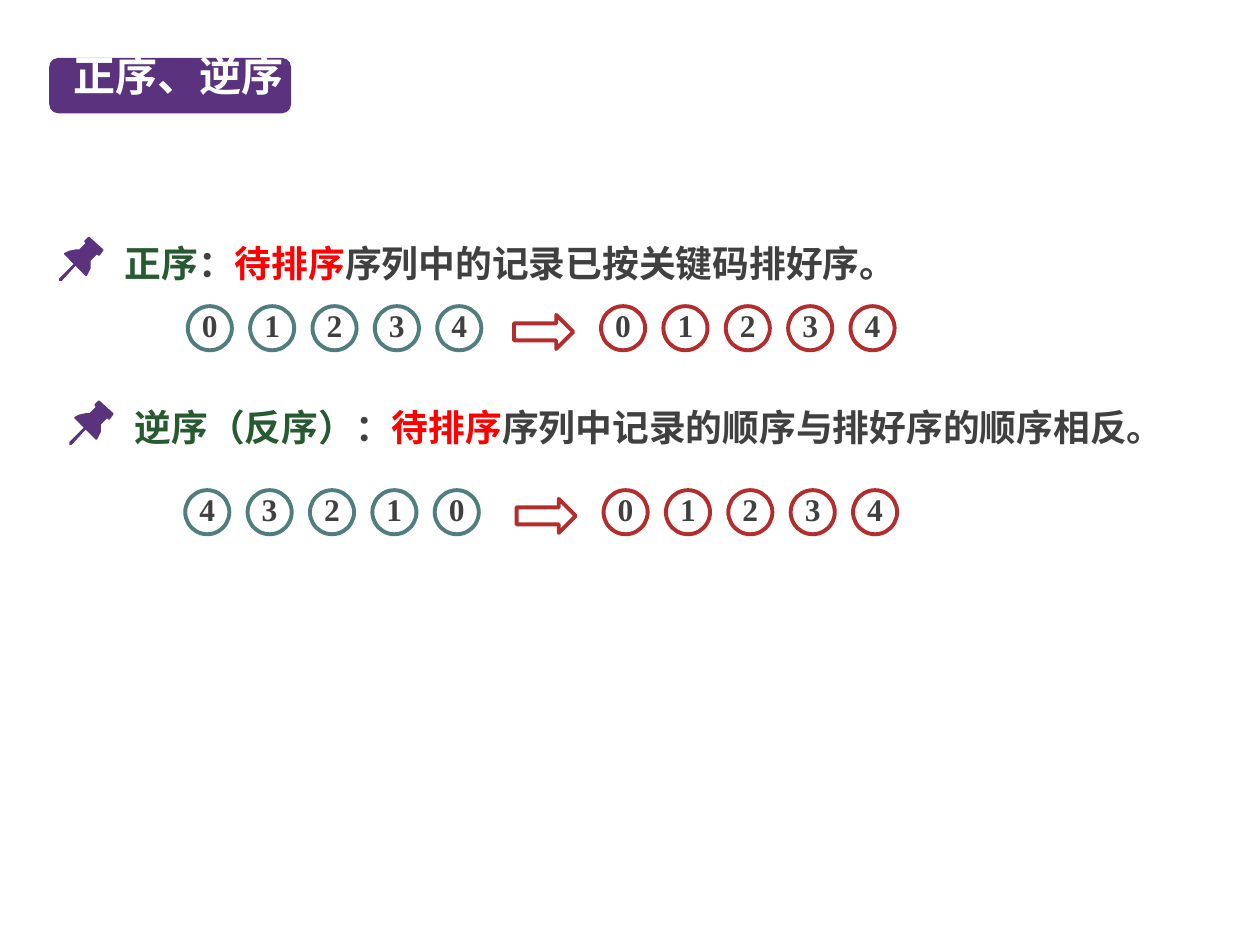
from lxml.etree import SubElement
from pptx import Presentation
from pptx.dml.color import RGBColor
from pptx.enum.shapes import MSO_SHAPE as Shape
from pptx.enum.text import MSO_ANCHOR as Anchor, PP_ALIGN as Align
from pptx.oxml.ns import qn
from pptx.util import Inches, Pt

PURPLE, GREEN, TEAL = "5A327D", "285A32", "507D7D"
CRIMSON, RED, GREY, WHITE = "B42D2D", "FF0000", "404040", "FFFFFF"
CJK, LATIN = "Noto Sans CJK SC", "Times New Roman"

CIRCLE, PITCH = 0.35, 0.495
# Outlines in hundredths of an inch from the pin's top left corner
PIN_HEAD = [(35, 11), (24, 1), (23, 1), (20, 4), (20, 5), (21, 6), (16, 11),
            (13, 11), (8, 12), (4, 14), (4, 15), (21, 32), (22, 32), (25, 26),
            (25, 20), (30, 15), (31, 16), (32, 16), (35, 12)]
PIN_NEEDLE = [(1, 36), (0, 36), (0, 34), (12, 22), (13, 22), (14, 23),
              (13, 24), (2, 36)]


def color(value):
    return RGBColor.from_string(value)


def place(item, left, top, width, height):
    item.left, item.top = Inches(left), Inches(top)
    item.width, item.height = Inches(width), Inches(height)


def write(item, spans, size, font=LATIN, align=Align.CENTER, spacing=0.8,
          anchor=Anchor.TOP, wrap=True, margins=(0, 0)):
    """Fill one paragraph with (text, color) spans; margins are side and top."""
    frame = item.text_frame
    frame.word_wrap, frame.vertical_anchor = wrap, anchor
    frame.margin_left = frame.margin_right = Inches(margins[0])
    frame.margin_top = frame.margin_bottom = Inches(margins[1])
    para = frame.paragraphs[0]
    para.alignment, para.line_spacing = align, spacing
    para.space_before = Pt(0)
    for text, shade in spans:
        span = para.add_run()
        span.text = text
        span.font.name, span.font.size, span.font.bold = font, Pt(size), True
        span.font.color.rgb = color(shade)
        SubElement(span.font._element, qn("a:ea"), typeface=CJK)


def paint(shape, fill=None, line=None):
    shape.shadow.inherit = False
    if fill:
        shape.fill.solid()
        shape.fill.fore_color.rgb = color(fill)
    else:
        shape.fill.background()
    if line:
        shape.line.color.rgb = color(line)
        shape.line.width = Pt(2.25)
    else:
        shape.line.fill.background()


def add_preset(page, kind, left, top, width, height, **colors):
    shape = page.shapes.add_shape(kind, Inches(left), Inches(top),
                                  Inches(width), Inches(height))
    paint(shape, **colors)
    return shape


def add_title(page, text):
    title = page.shapes.title
    pill = add_preset(page, Shape.ROUNDED_RECTANGLE, 0.39, 0.46, 1.92, 0.44,
                      fill=PURPLE)
    title._element.addprevious(pill._element)
    place(title, 0.47, 0.42, 1.89, 0.42)
    write(title, [(text, WHITE)], 24, font=CJK, margins=(0, 0.05))


def add_pin(page, left, top):
    for points in (PIN_HEAD, PIN_NEEDLE):
        builder = page.shapes.build_freeform(*points[0], scale=Inches(0.01))
        builder.add_line_segments(points[1:], close=True)
        paint(builder.convert_to_shape(Inches(left), Inches(top)), fill=PURPLE)


def add_definition(page, left, top, term, rest):
    add_pin(page, left, top)
    box = page.shapes.add_textbox(0, 0, 0, 0)
    place(box, left + 0.42, top - 0.04, 8.41, 0.44)
    spans = [(term, GREEN), ("：", GREY), ("待排序", RED), (rest, GREY)]
    write(box, spans, 21, align=Align.JUSTIFY, spacing=1.1,
          margins=(0.1, 0.05))


def add_sequence(page, left, top, digits, line):
    for column, digit in enumerate(digits):
        circle = add_preset(page, Shape.OVAL, left + column * PITCH, top,
                            CIRCLE, CIRCLE, line=line)
        write(circle, [(digit, GREY)], 18, anchor=Anchor.MIDDLE, wrap=False)


def add_sorting(page, top, before, before_left, after_left):
    add_sequence(page, before_left, top, before, TEAL)
    add_preset(page, Shape.RIGHT_ARROW, after_left - 0.69, top + 0.07,
               0.47, 0.27, line=CRIMSON)
    add_sequence(page, after_left, top, sorted(before), CRIMSON)


def main():
    deck = Presentation()
    deck.slide_width, deck.slide_height = Inches(10), Inches(7.5)
    page = deck.slides.add_slide(deck.slide_layouts.get_by_name("Title Only"))
    add_title(page, "正序、逆序")
    add_definition(page, 0.47, 1.87, "正序", "序列中的记录已按关键码排好序。")
    add_sorting(page, 2.43, "01234", 1.49, 4.77)
    add_definition(page, 0.55, 3.17, "逆序（反序）",
                   "序列中记录的顺序与排好序的顺序相反。")
    add_sorting(page, 3.89, "43210", 1.47, 4.79)
    deck.save("out.pptx")


if __name__ == "__main__":
    main()
